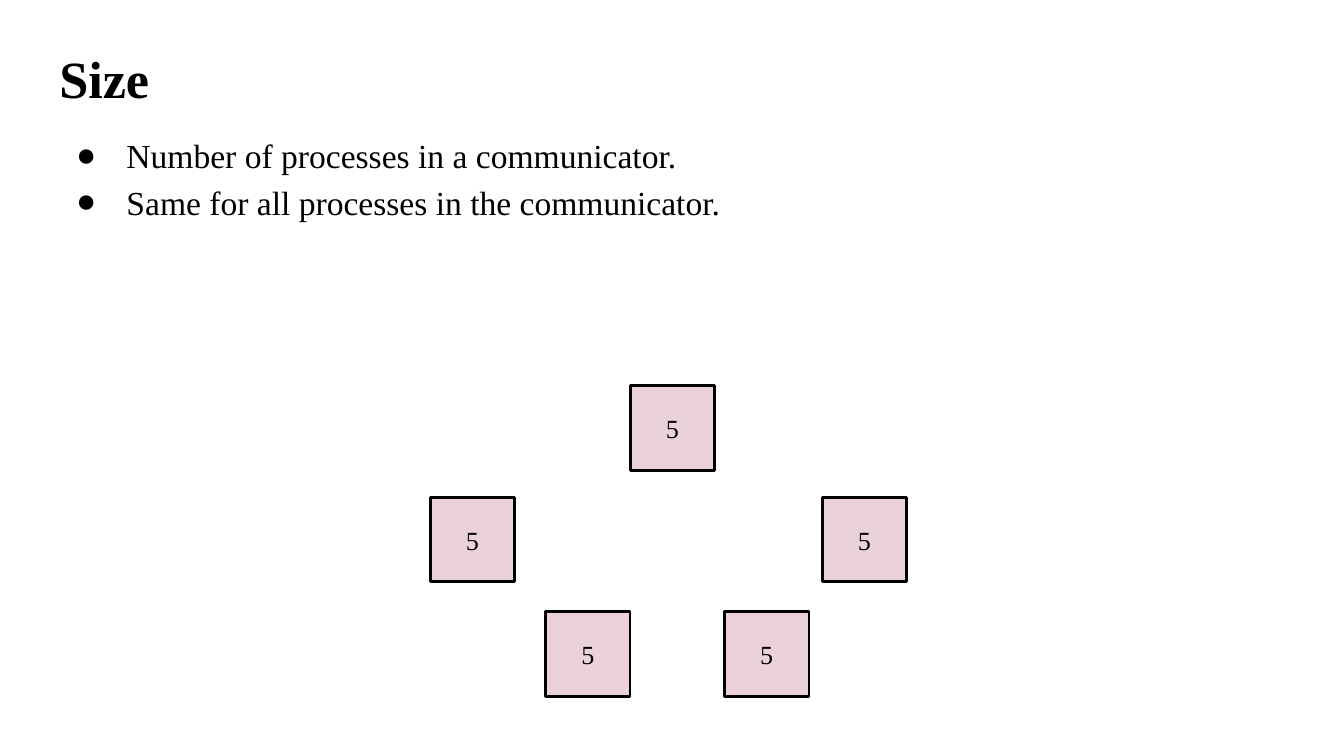
import pptx
import pptx.util
import pptx.dml.color
import pptx.enum.shapes
import pptx.enum.text
import pptx.oxml
import pptx.oxml.ns

Cm, Pt = pptx.util.Cm, pptx.util.Pt
RGB = pptx.dml.color.RGBColor.from_string
Align = pptx.enum.text.PP_ALIGN
Anchor = pptx.enum.text.MSO_ANCHOR
COLORS = {"ink": "000000", "box": "EAD1DC"}
NS = pptx.oxml.ns.nsdecls("a")


def set_font(para, size, bold=False):
    para.font.name = "Times New Roman"
    para.font.size = Pt(size)
    para.font.bold = bold
    para.font.color.rgb = RGB(COLORS["ink"])


def set_frame(frame, anchor):
    """Set even insets, wrapping and the vertical anchor."""
    frame.margin_left = frame.margin_right = Cm(0.25)
    frame.margin_top = frame.margin_bottom = Cm(0.25)
    frame.word_wrap = True
    frame.auto_size = pptx.enum.text.MSO_AUTO_SIZE.NONE
    frame.vertical_anchor = anchor


deck = pptx.Presentation()
deck.slide_width, deck.slide_height = Cm(25.4), Cm(14.29)
slide = deck.slides.add_slide(deck.slide_layouts[1])

# Title and list
title, body = slide.shapes.title, slide.placeholders[1]
for holder, top, height in ((title, 0.62, 1.6), (body, 2.19, 11.4)):
    holder.left, holder.top = Cm(0.87), Cm(top)
    holder.width, holder.height = Cm(23.67), Cm(height)
    set_frame(holder.text_frame, Anchor.TOP)

title.text_frame.text = "Size"
head = title.text_frame.paragraphs[0]
head.alignment = Align.LEFT
set_font(head, 28, bold=True)

points = [
    "Number of processes in a communicator.",
    "Same for all processes in the communicator.",
]
body.text_frame.text = "\n".join(points)
for para in body.text_frame.paragraphs:
    props = para._p.get_or_add_pPr()
    props.set("marL", str(Cm(1.27)))
    props.set("indent", str(-Cm(0.95)))
    para.line_spacing = 1.15
    para.space_before = Pt(0)
    for mark in (
        f'<a:buClr {NS}><a:srgbClr val="{COLORS["ink"]}"/></a:buClr>',
        f'<a:buFont {NS} typeface="Times New Roman"/>',
        f'<a:buChar {NS} char="●"/>',
    ):
        props.append(pptx.oxml.parse_xml(mark))
    set_font(para, 18)

# Ring of processes, each showing the communicator size
spots = [(8.13, 9.4), (10.31, 11.56), (11.91, 7.29), (15.54, 9.4), (13.69, 11.56)]
side = Cm(1.6)
for left, top in spots:
    box = slide.shapes.add_shape(
        pptx.enum.shapes.MSO_SHAPE.RECTANGLE, Cm(left), Cm(top), side, side
    )
    box.shadow.inherit = False
    box.fill.solid()
    box.fill.fore_color.rgb = RGB(COLORS["box"])
    box.line.color.rgb = RGB(COLORS["ink"])
    box.line.width = Pt(1.5)
    set_frame(box.text_frame, Anchor.MIDDLE)
    box.text_frame.text = str(len(spots))
    label = box.text_frame.paragraphs[0]
    label.alignment = Align.CENTER
    set_font(label, 14)

deck.save("out.pptx")
